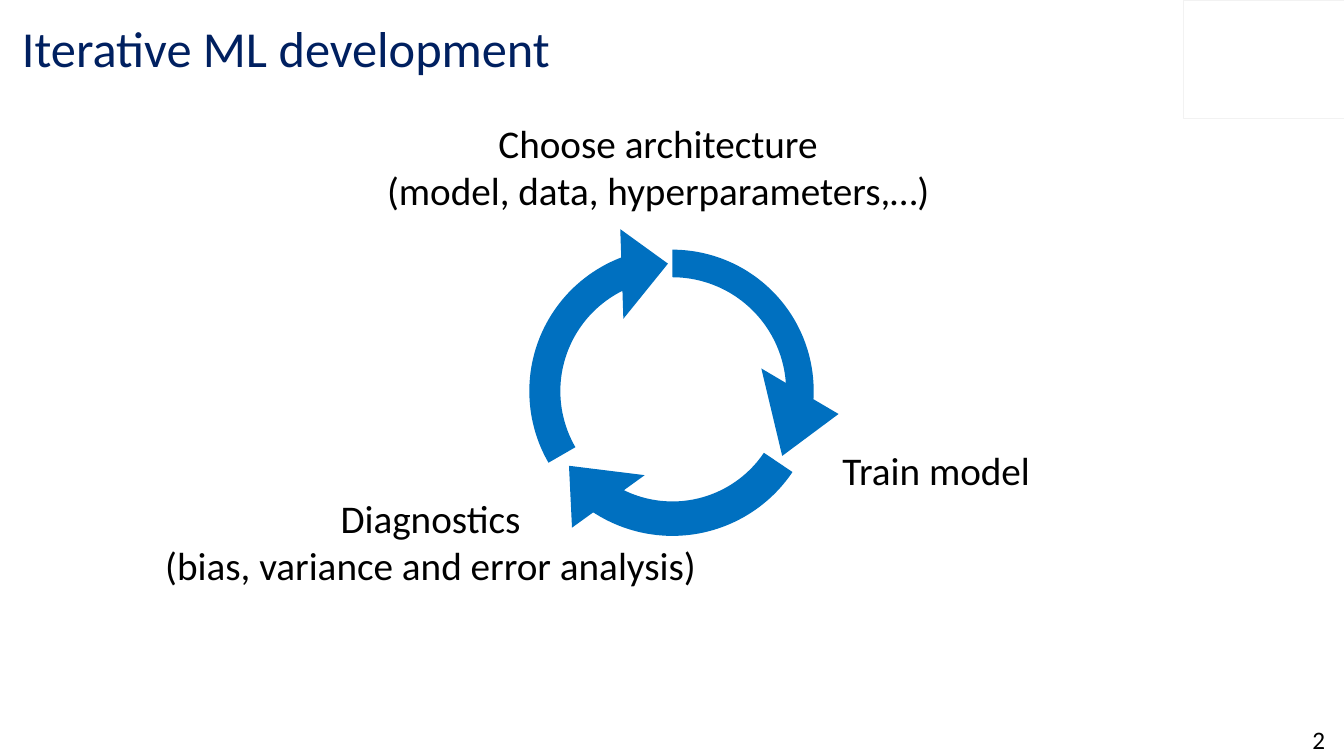
import pptx
import pptx.util
import pptx.dml.color
import pptx.enum.shapes
import pptx.enum.text

Cm = pptx.util.Cm
RGBColor = pptx.dml.color.RGBColor
MSO_SHAPE = pptx.enum.shapes.MSO_SHAPE
PP_ALIGN = pptx.enum.text.PP_ALIGN
MSO_ANCHOR = pptx.enum.text.MSO_ANCHOR
MSO_AUTO_SIZE = pptx.enum.text.MSO_AUTO_SIZE

NAVY = RGBColor(0x00, 0x20, 0x60)
BLUE = RGBColor(0x00, 0x70, 0xC0)
BLACK = RGBColor(0x00, 0x00, 0x00)
PALE_GRAY = RGBColor(0xF2, 0xF2, 0xF2)


def write_lines(text_frame, lines, size, color, alignment):
    text_frame.text = "\n".join(lines)
    font_format = {"name": "Calibri", "size": pptx.util.Pt(size), "bold": False}
    for paragraph in text_frame.paragraphs:
        paragraph.alignment = alignment
        for run in paragraph.runs:
            for attribute, value in font_format.items():
                setattr(run.font, attribute, value)
            run.font.color.rgb = color


presentation = pptx.Presentation()
presentation.slide_width = Cm(33.87)
presentation.slide_height = Cm(19.05)
slide = presentation.slides.add_slide(presentation.slide_layouts[5])

title = slide.shapes.title
title_place = {"left": Cm(0.3), "top": Cm(0.25), "width": Cm(26.14), "height": Cm(1.9)}
for attribute, value in title_place.items():
    setattr(title, attribute, value)
title.text_frame.vertical_anchor = MSO_ANCHOR.MIDDLE
write_lines(title.text_frame, ["Iterative ML development"], 36, NAVY, PP_ALIGN.LEFT)

corner_frame = slide.shapes.add_shape(
    MSO_SHAPE.RECTANGLE, Cm(29.83), Cm(0), Cm(4.04), Cm(2.97)
)
corner_frame.shadow.inherit = False
corner_frame.fill.background()
corner_frame.line.color.rgb = PALE_GRAY
corner_frame.line.width = pptx.util.Pt(0.25)

page_number = slide.shapes.add_textbox(Cm(32.6), Cm(18.21), Cm(1.27), Cm(0.84))
page_number.text_frame.word_wrap = True
page_number.text_frame.vertical_anchor = MSO_ANCHOR.MIDDLE
write_lines(page_number.text_frame, ["2"], 18, BLACK, PP_ALIGN.CENTER)

cycle_arrows = [
    (130, [0.1, 14.41, 210.08, 158.4, 0.13]),
    (0, [0.08, 18.28, 0.05, 161.99, 0.13]),
    (240, [0.09, 12.81, 3.99, 161.99, 0.13]),
]
for rotation, adjustments in cycle_arrows:
    arrow = slide.shapes.add_shape(
        MSO_SHAPE.CIRCULAR_ARROW, Cm(12.6), Cm(5.51), Cm(8.69), Cm(8.69)
    )
    arrow.rotation = rotation
    for index, adjustment in enumerate(adjustments):
        arrow.adjustments[index] = adjustment
    arrow.shadow.inherit = False
    arrow.fill.solid()
    arrow.fill.fore_color.rgb = BLUE
    arrow.line.fill.background()

stages = [
    (9.42, 2.87, 14.33, 2.64, PP_ALIGN.CENTER,
     ["Choose architecture", "(model, data, hyperparameters,…)"]),
    (20.98, 11.13, 5.28, 1.45, PP_ALIGN.LEFT, ["Train model"]),
    (3.84, 12.32, 14.02, 2.64, PP_ALIGN.CENTER,
     ["Diagnostics", "(bias, variance and error analysis)"]),
]
for left, top, width, height, alignment, lines in stages:
    label = slide.shapes.add_textbox(Cm(left), Cm(top), Cm(width), Cm(height))
    label.text_frame.word_wrap = False
    label.text_frame.auto_size = MSO_AUTO_SIZE.SHAPE_TO_FIT_TEXT
    write_lines(label.text_frame, lines, 28, BLACK, alignment)

presentation.save("out.pptx")
